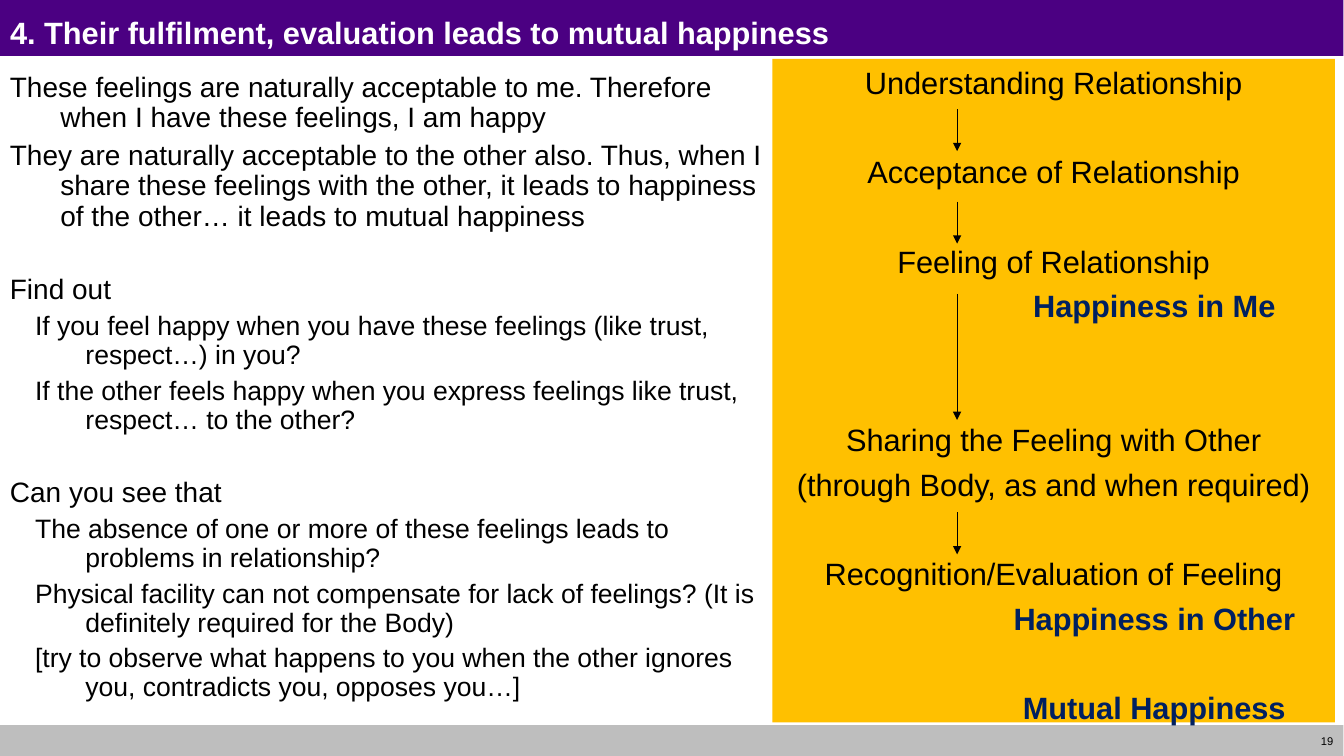
import pptx
import pptx.dml.color
import pptx.enum.shapes
import pptx.enum.text
import pptx.oxml
import pptx.oxml.ns
import pptx.util

Pt = pptx.util.Pt
ALIGN = pptx.enum.text.PP_ALIGN
ANCHOR = pptx.enum.text.MSO_ANCHOR
SHAPE = pptx.enum.shapes.MSO_SHAPE
BLACK, WHITE, NAVY = "000000", "FFFFFF", "002060"

POINT = dict(size=20, margin=36, line=21.8, before=5)
SUBPOINT = dict(size=19, margin=54, line=20.7, before=4.8)
SECTION = dict(POINT, before=30.8)
NOTES = [
    ("These feelings are naturally acceptable to me. Therefore when I have these feelings, I am happy", POINT),
    ("They are naturally acceptable to the other also. Thus, when I share these feelings with the other, "
     "it leads to happiness of the other… it leads to mutual happiness", POINT),
    ("Find out", SECTION),
    ("If you feel happy when you have these feelings (like trust, respect…) in you?", SUBPOINT),
    ("If the other feels happy when you express feelings like trust, respect… to the other?", SUBPOINT),
    ("Can you see that", SECTION),
    ("The absence of one or more of these feelings leads to problems in relationship?", SUBPOINT),
    ("Physical facility can not compensate for lack of feelings? (It is definitely required for the Body)", SUBPOINT),
    ("[try to observe what happens to you when the other ignores you, contradicts you, opposes you…]", SUBPOINT),
]

STEP_LINE, STEP_GAP = 26.4, 5.5
STEP = dict(color=BLACK, bold=False, margin=0)
RESULT = dict(color=NAVY, bold=True, margin=144)
STEPS = [
    ("Understanding Relationship", STEP, 0),
    ("Acceptance of Relationship", STEP, 1),
    ("Feeling of Relationship", STEP, 1),
    ("Happiness in Me", RESULT, 0),
    ("Sharing the Feeling with Other", STEP, 2),
    ("(through Body, as and when required)", STEP, 0),
    ("Recognition/Evaluation of Feeling", STEP, 1),
    ("Happiness in Other", RESULT, 0),
    ("Mutual Happiness", RESULT, 1),
]
ARROW_X = 132
ARROWS = [(36, 66), (102, 132), (168, 258), (324, 354)]


def rgb(value):
    """Turn a hex string into a colour."""
    return pptx.dml.color.RGBColor.from_string(value)


def set_frame(tf, anchor=ANCHOR.TOP):
    """Give a text frame its wrapping, anchor and insets."""
    formats = dict(word_wrap=True, auto_size=pptx.enum.text.MSO_AUTO_SIZE.NONE, vertical_anchor=anchor,
                   margin_left=Pt(7.2), margin_right=Pt(7.2), margin_top=Pt(3.6), margin_bottom=Pt(3.6))
    for name, value in formats.items():
        setattr(tf, name, value)


def write(p, text, size, color=BLACK, bold=False, align=ALIGN.LEFT, line=None, before=0, margin=0, indent=0):
    """Fill one paragraph with formatted text."""
    formats = dict(alignment=align, space_before=Pt(before), line_spacing=Pt(line) if line else 1.0)
    for name, value in formats.items():
        setattr(p, name, value)
    pPr = p._p.get_or_add_pPr()
    pPr.set("marL", str(Pt(margin)))
    pPr.set("indent", str(Pt(indent)))
    r = p.add_run()
    r.text = text
    for name, value in dict(name="Arial", size=Pt(size), bold=bold).items():
        setattr(r.font, name, value)
    r.font.color.rgb = rgb(color)


def paragraph(tf, index):
    """Return the first paragraph or add a further one."""
    return tf.add_paragraph() if index else tf.paragraphs[0]


def add_panel(s, box, fill):
    """Draw a plain filled rectangle."""
    sp = s.shapes.add_shape(SHAPE.RECTANGLE, *map(Pt, box))
    sp.shadow.inherit = False
    sp.fill.solid()
    sp.fill.fore_color.rgb = rgb(fill)
    sp.line.fill.background()
    return sp


def add_arrow(s, x, top, bottom):
    """Draw a thin downward arrow."""
    c = s.shapes.add_connector(pptx.enum.shapes.MSO_CONNECTOR.STRAIGHT, *map(Pt, (x, top, x, bottom)))
    c.line.color.rgb = rgb(BLACK)
    c.line.width = Pt(0.75)
    ln = c.line._get_or_add_ln()
    ln.append(pptx.oxml.parse_xml('<a:tailEnd %s type="triangle"/>' % pptx.oxml.ns.nsdecls("a")))
    c._element.spPr.append(pptx.oxml.parse_xml("<a:effectLst %s/>" % pptx.oxml.ns.nsdecls("a")))


def add_header(s, box, text):
    """Place the title on its coloured band."""
    left, top, width, height = box
    add_panel(s, box, "4B0082")
    title = s.shapes.title
    s.shapes._spTree.append(title._element)
    place = dict(left=left, top=top + 6, width=width, height=height - 10)
    for name, value in place.items():
        setattr(title, name, Pt(value))
    set_frame(title.text_frame)
    write(title.text_frame.paragraphs[0], text, 22, WHITE, True)


def add_footer(s, box, number):
    """Draw the footer band with the slide number at its right end."""
    left, top, width, height = box
    add_panel(s, box, "BEBEBE")
    tf = s.shapes.add_textbox(*map(Pt, (left + width - 45, top, 45, height))).text_frame
    set_frame(tf, ANCHOR.MIDDLE)
    write(tf.paragraphs[0], number, 8, align=ALIGN.RIGHT)


def add_notes(s, box):
    """Write the points and questions with hanging indents."""
    tf = s.shapes.add_textbox(*map(Pt, box)).text_frame
    set_frame(tf)
    for i, (text, style) in enumerate(NOTES):
        write(paragraph(tf, i), text, indent=-36, **style)


def add_flow(s, box):
    """Draw the panel of steps, their results and the arrows between them."""
    left, top = box[:2]
    tf = add_panel(s, box, "FFC000").text_frame
    set_frame(tf)
    for i, (text, style, skipped) in enumerate(STEPS):
        before = STEP_GAP + skipped * (STEP_LINE + STEP_GAP)
        write(paragraph(tf, i), text, 22, align=ALIGN.CENTER, line=STEP_LINE,
              before=before if i else 0, **style)
    for start, end in ARROWS:
        add_arrow(s, left + ARROW_X, top + start, top + end)


def main():
    """Build the slide and save it."""
    prs = pptx.Presentation()
    prs.slide_width, prs.slide_height = Pt(960.48), Pt(540)
    s = prs.slides.add_slide(prs.slide_layouts[5])
    add_footer(s, (0, 518, 960, 23), "19")
    add_notes(s, (0, 48, 552, 468))
    add_flow(s, (552, 42, 402, 474))
    add_header(s, (0, 0, 960, 40), "4. Their fulfilment, evaluation leads to mutual happiness")
    prs.save("out.pptx")


if __name__ == "__main__":
    main()
